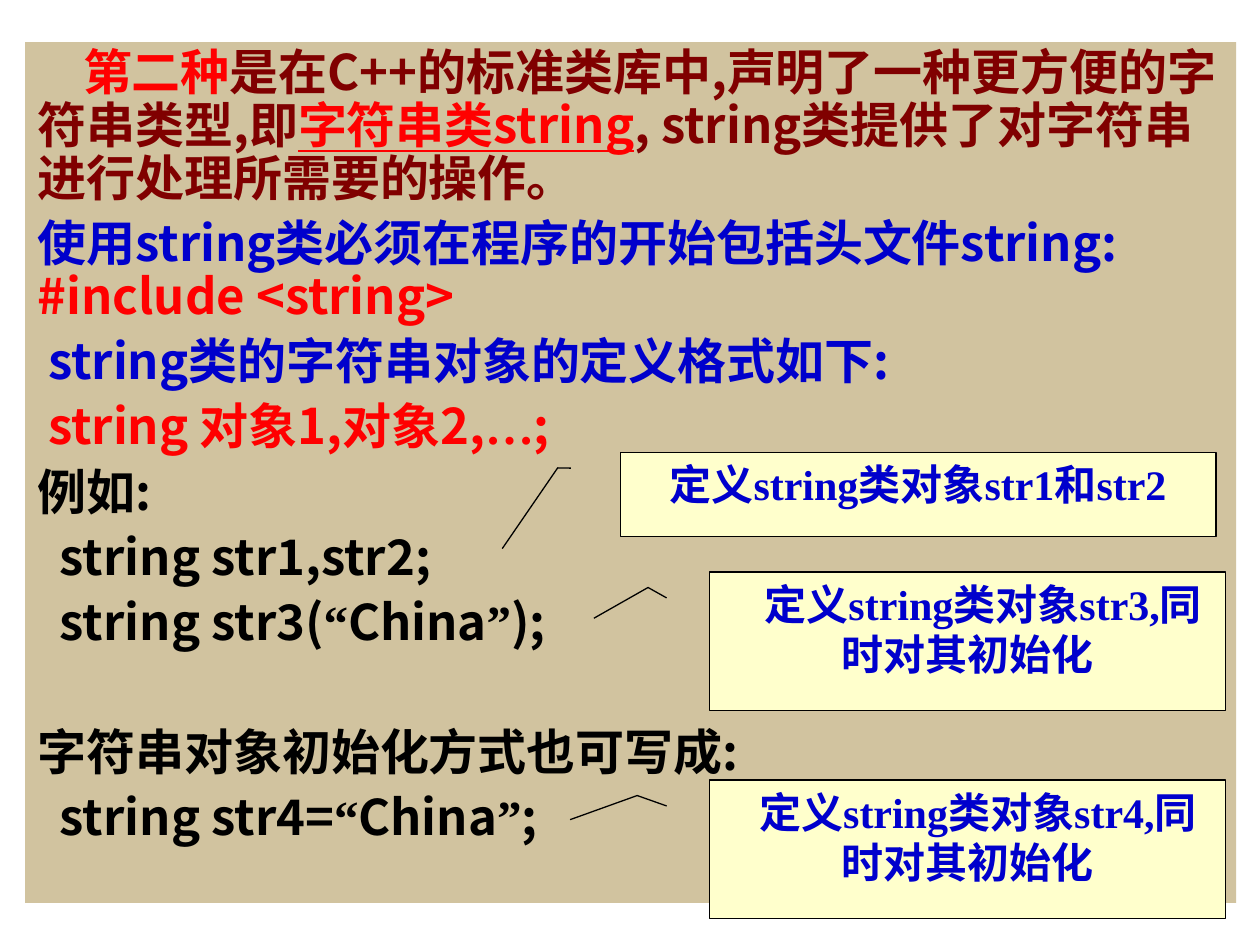
from lxml.etree import SubElement
from pptx import Presentation
from pptx.dml.color import RGBColor
from pptx.enum.shapes import MSO_SHAPE
from pptx.enum.text import MSO_ANCHOR, PP_ALIGN
from pptx.oxml.ns import qn
from pptx.util import Pt

TAN = RGBColor(0xD1, 0xC3, 0x9F)
CREAM = RGBColor(0xFF, 0xFF, 0xCC)
MAROON = RGBColor(0x80, 0x00, 0x00)
RED = RGBColor(0xFF, 0x00, 0x00)
BLUE = RGBColor(0x00, 0x00, 0xCC)
BLACK = RGBColor(0x00, 0x00, 0x00)
SANS = "Noto Sans CJK SC"
SERIF = "Times New Roman"


def add_text(paragraph, text, color=BLACK, size=28, font=SANS, underline=False):
    run = paragraph.add_run()
    run.text = text
    run.font.size = Pt(size)
    run.font.bold = True
    run.font.underline = underline
    run.font.color.rgb = color
    run.font.name = font
    SubElement(run._r.get_or_add_rPr(), qn("a:ea"), typeface=SANS)


def add_panel(slide, kind, bounds, fill):
    panel = slide.shapes.add_shape(kind, *(Pt(length) for length in bounds))
    panel.shadow.inherit = False
    panel.fill.solid()
    panel.fill.fore_color.rgb = fill
    panel.line.fill.background()
    panel.text_frame.word_wrap = True
    panel.text_frame.vertical_anchor = MSO_ANCHOR.TOP
    return panel


def set_indent(paragraph, indent):
    paragraph._p.get_or_add_pPr().set("indent", str(Pt(indent)))


def add_lesson(slide, paragraphs):
    frame = add_panel(slide, MSO_SHAPE.RECTANGLE, (14.4, 24, 692, 492), TAN).text_frame
    for index, (indent, before, runs) in enumerate(paragraphs):
        line = frame.add_paragraph() if index else frame.paragraphs[0]
        line.alignment = PP_ALIGN.LEFT
        line.line_spacing = 0.9
        line.space_before = Pt(before)
        set_indent(line, indent)
        for text, style in runs:
            add_text(line, text, **style)


def add_callout(slide, text, bounds, leader, indent=0):
    callout = add_panel(slide, MSO_SHAPE.LINE_CALLOUT_2, bounds, CREAM)
    for index, value in enumerate(leader):
        callout.adjustments[index] = value
    callout.line.color.rgb = BLACK
    callout.line.width = Pt(0.75)
    note = callout.text_frame.paragraphs[0]
    note.alignment = PP_ALIGN.CENTER
    set_indent(note, indent)
    add_text(note, text, color=BLUE, size=24, font=SERIF)


def quoted_code(start, end):
    quote = {"font": SERIF}
    return [(start, {}), ("“", quote), ("China", {}), ("”", quote), (end, {})]


def main():
    deck = Presentation()
    deck.slide_width, deck.slide_height = Pt(720), Pt(540)
    slide = deck.slides.add_slide(deck.slide_layouts[6])
    maroon, red, blue = ({"color": color} for color in (MAROON, RED, BLUE))
    add_lesson(slide, [
        (26, 0, [
            ("第二种", red),
            ("是在C++的标准类库中,声明了一种更方便的字符串类型,即", maroon),
            ("字符串类string", {"color": RED, "underline": True}),
            (", string类提供了对字符串进行处理所需要的操作。", maroon),
        ]),
        (0, 7, [
            ("使用string类必须在程序的开始包括头文件string: ", blue),
            ("#include <string>", red),
        ]),
        (6, 7, [("string类的字符串对象的定义格式如下:", blue)]),
        (6, 7, [
            ("string 对象1,对象2,", red),
            ("…", {"color": RED, "font": SERIF}),
            (";", red),
        ]),
        (0, 7, [("例如:", {})]),
        (0, 7, [("  string str1,str2;", {})]),
        (0, 7, quoted_code("  string str3(", ");")),
        (0, 44, [("字符串对象初始化方式也可写成:", {})]),
        (0, 7, quoted_code("  string str4=", ";")),
    ])
    add_callout(slide, "定义string类对象str1和str2", (354.4, 258.5, 340.4, 48),
                (0.188, -0.083, 0.185, -0.105, 1.146, -0.198))
    add_callout(slide, "定义string类对象str3,同时对其初始化", (405.4, 326.8, 294.8, 79.2),
                (0.188, -0.083, 0.113, -0.119, 0.335, -0.224), indent=18)
    add_callout(slide, "定义string类对象str4,同时对其初始化", (405.4, 445.7, 294.8, 79.2),
                (0.188, -0.083, 0.113, -0.14, 0.287, -0.27), indent=12)
    deck.save("out.pptx")


if __name__ == "__main__":
    main()
